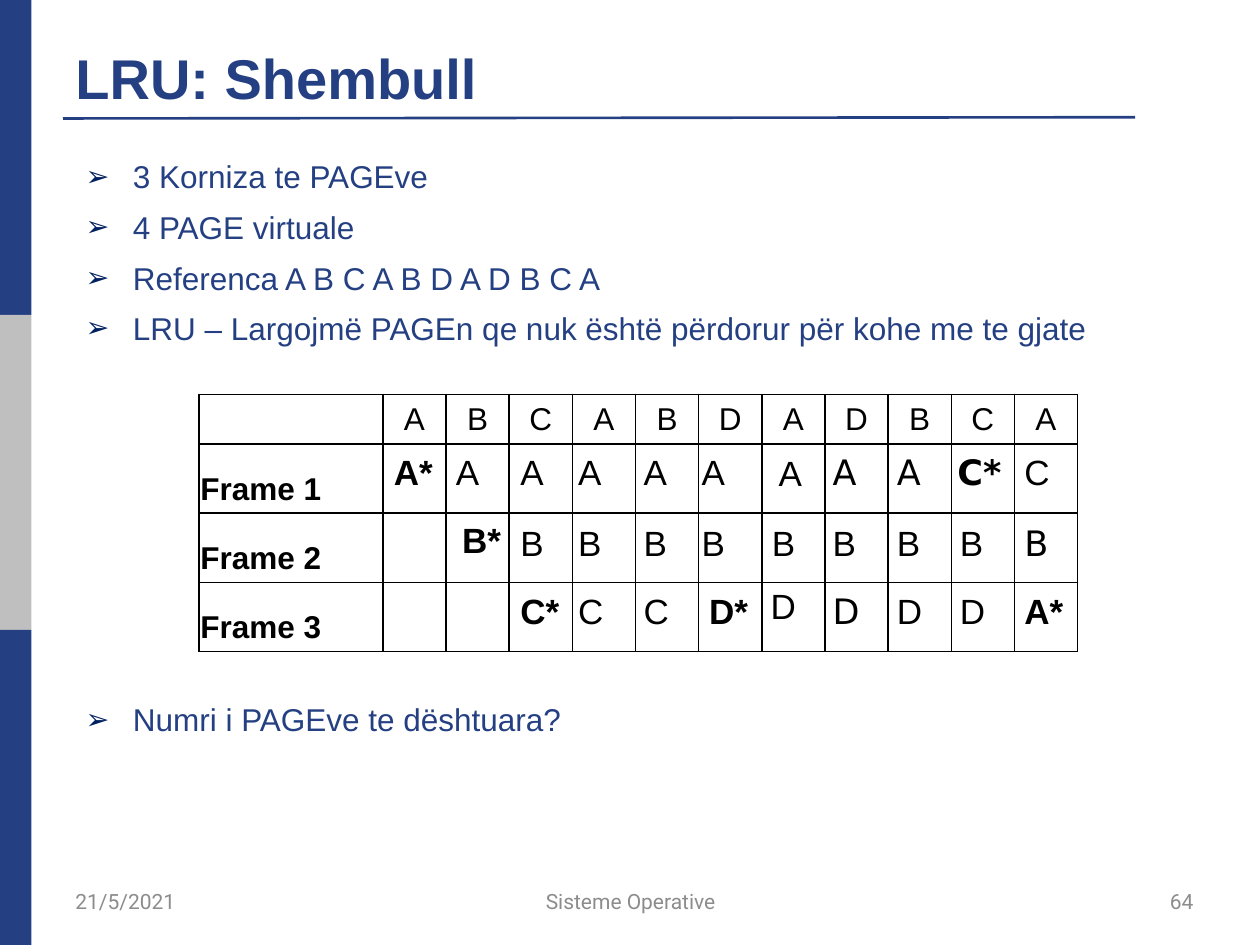
from lxml import etree
from pptx import Presentation, util as u
from pptx.dml.color import RGBColor
from pptx.enum import shapes, text
from pptx.oxml import ns

NAVY, BULLET, SILVER, GREY = "244082", "002060", "BFBFBF", "8C8C8C"
BLACK, WHITE = "000000", "FFFFFF"
SANS, WIDE, FOOTER = "Arial", "DejaVu Sans", "Roboto"
LEFT, CENTER, RIGHT = text.PP_ALIGN.LEFT, text.PP_ALIGN.CENTER, text.PP_ALIGN.RIGHT
TOP, MIDDLE, BOTTOM = (text.MSO_ANCHOR.TOP, text.MSO_ANCHOR.MIDDLE,
                       text.MSO_ANCHOR.BOTTOM)


def color(value):
    return RGBColor.from_string(value)


def add_element(parent, tag, **attributes):
    return etree.SubElement(parent, ns.qn(tag), attributes)


class SlideWriter:
    def __init__(self, slide):
        self.slide = slide

    def format_runs(self, paragraph, size, ink, bold=False, font=SANS):
        for run in paragraph.runs:
            run.font.size, run.font.bold, run.font.name = u.Pt(size), bold, font
            run.font.color.rgb = color(ink)

    def rectangle(self, left, top, width, height, fill):
        shape = self.slide.shapes.add_shape(
            shapes.MSO_SHAPE.RECTANGLE, *map(u.Pt, (left, top, width, height)))
        shape.shadow.inherit = False
        shape.fill.solid()
        shape.fill.fore_color.rgb = color(fill)
        shape.line.fill.background()

    def line(self, x1, y1, x2, y2, ink, width):
        connector = self.slide.shapes.add_connector(
            shapes.MSO_CONNECTOR.STRAIGHT, *map(u.Pt, (x1, y1, x2, y2)))
        connector.line.color.rgb = color(ink)
        connector.line.width = u.Pt(width)
        add_element(connector._element.spPr, "a:effectLst")

    def text_box(self, left, top, width, height, content, size, ink,
                 bold=False, font=SANS, align=LEFT, anchor=TOP):
        box = self.slide.shapes.add_textbox(*map(u.Pt, (left, top, width, height)))
        frame = box.text_frame
        frame.word_wrap = True
        frame.vertical_anchor = anchor
        frame.text = content
        for paragraph in frame.paragraphs:
            paragraph.alignment = align
            self.format_runs(paragraph, size, ink, bold, font)
        return frame

    def bullets(self, left, top, width, height, items, size, ink):
        """Write (text, space before) pairs as an arrow-bulleted list."""
        content = "\n".join(item for item, _ in items)
        frame = self.text_box(left, top, width, height, content, size, ink)
        for paragraph, (_, space) in zip(frame.paragraphs, items):
            paragraph.space_before = u.Pt(space)
            properties = paragraph._p.get_or_add_pPr()
            properties.set("marL", str(u.Pt(27)))
            properties.set("indent", str(-u.Pt(27)))
            bullet_color = add_element(properties, "a:buClr")
            add_element(bullet_color, "a:srgbClr", val=BULLET)
            add_element(properties, "a:buSzPct", val="90000")
            add_element(properties, "a:buFont", typeface=SANS)
            add_element(properties, "a:buChar", char="➢")

    def cell_borders(self, cell, ink, width):
        properties = cell._tc.get_or_add_tcPr()
        for side in ("a:lnL", "a:lnR", "a:lnT", "a:lnB"):
            border = add_element(properties, side, w=str(u.Pt(width)))
            add_element(add_element(border, "a:solidFill"), "a:srgbClr", val=ink)

    def table(self, left, top, widths, heights, rows):
        """Draw a ruled table with a plain first row and a bold first column."""
        table = self.slide.shapes.add_table(
            len(heights), len(widths), u.Pt(left), u.Pt(top),
            u.Pt(sum(widths)), u.Pt(sum(heights))).table
        table.first_row = table.horz_banding = False
        for column, width in zip(table.columns, widths):
            column.width = u.Pt(width)
        for row, height in zip(table.rows, heights):
            row.height = u.Pt(height)
        for r, row in enumerate(rows):
            for c, content in enumerate(row):
                cell = table.cell(r, c)
                self.cell_borders(cell, BLACK, 1)
                cell.fill.solid()
                cell.fill.fore_color.rgb = color(WHITE)
                cell.margin_left = cell.margin_right = cell.margin_top = u.Pt(0.7)
                cell.margin_bottom = u.Pt(3.6)
                cell.vertical_anchor = BOTTOM
                cell.text_frame.text = content
                paragraph = cell.text_frame.paragraphs[0]
                paragraph.alignment = CENTER if c else LEFT
                self.format_runs(paragraph, 18, BLACK, bold=r > 0)


REFERENCES = "A B C A B D A D B C A".split()
FRAMES = [
    "A* A A A A A A A A C* C".split(),
    [""] + "B* B B B B B B B B B".split(),
    ["", ""] + "C* C C D* D D D D A*".split(),
]
ENTRY_LEFTS = [218, 253.4, 290.2, 323.3, 360.7, 393.8, 434, 468.7, 505.4, 541.4, 578.2]
ENTRY_TOPS = [254, 294.3, 333.2]
# Offsets from the grid, keyed by (frame, reference)
NUDGES = {(0, 6): (3.8, 0.7), (0, 9): (-1.4, 0), (1, 1): (3.6, -1.4),
          (2, 5): (4.3, 0), (2, 6): (-0.7, -2.9)}
WIDE_ENTRIES = {(0, 7), (0, 8), (0, 9), (1, 10), (2, 7)}


def main():
    presentation = Presentation()
    presentation.slide_width, presentation.slide_height = u.Pt(720), u.Pt(540)
    writer = SlideWriter(presentation.slides.add_slide(presentation.slide_layouts[6]))

    for i, fill in enumerate((NAVY, SILVER, NAVY)):
        writer.rectangle(0, 180 * i, 18, 180, fill)
    writer.line(36, 67.7, 648.7, 67, NAVY, 1.5)
    writer.text_box(36, 21.6, 612.7, 45.4, "LRU: Shembull", 32, NAVY,
                    bold=True, anchor=BOTTOM)
    writer.bullets(41.8, 86.4, 612.7, 393, [
        ("3 Korniza te PAGEve", 0),
        ("4 PAGE virtuale", 7.3),
        ("Referenca " + " ".join(REFERENCES), 7.3),
        ("LRU – Largojmë PAGEn qe nuk është përdorur për kohe me te gjate", 7.3),
        ("Numri i PAGEve te dështuara?", 202),
    ], 18, NAVY)

    for left, width, content, align in (
            (36, 146, "21/5/2021", LEFT),
            (217.4, 286, "Sisteme Operative", CENTER),
            (504.7, 184.3, "64", RIGHT)):
        writer.text_box(left, 500.4, width, 28.8, content, 12, GREY,
                        font=FOOTER, align=align, anchor=MIDDLE)

    count = len(REFERENCES)
    labels = [[f"Frame {i + 1}"] + [""] * count for i in range(len(FRAMES))]
    writer.table(113.8, 225.4, [105] + [36.1] * count, [28.2] + [39.6] * 3,
                 [[""] + REFERENCES] + labels)
    for f, (top, entries) in enumerate(zip(ENTRY_TOPS, FRAMES)):
        for c, (left, entry) in enumerate(zip(ENTRY_LEFTS, entries)):
            if not entry:
                continue
            dx, dy = NUDGES.get((f, c), (0, 0))
            wide = (f, c) in WIDE_ENTRIES
            fault = entry.endswith("*")
            writer.text_box(left + dx, top + dy, 52.6 if wide and fault else 36.7, 31.7,
                            entry, 20, BLACK, bold=fault, font=WIDE if wide else SANS)

    presentation.save("out.pptx")


if __name__ == "__main__":
    main()
